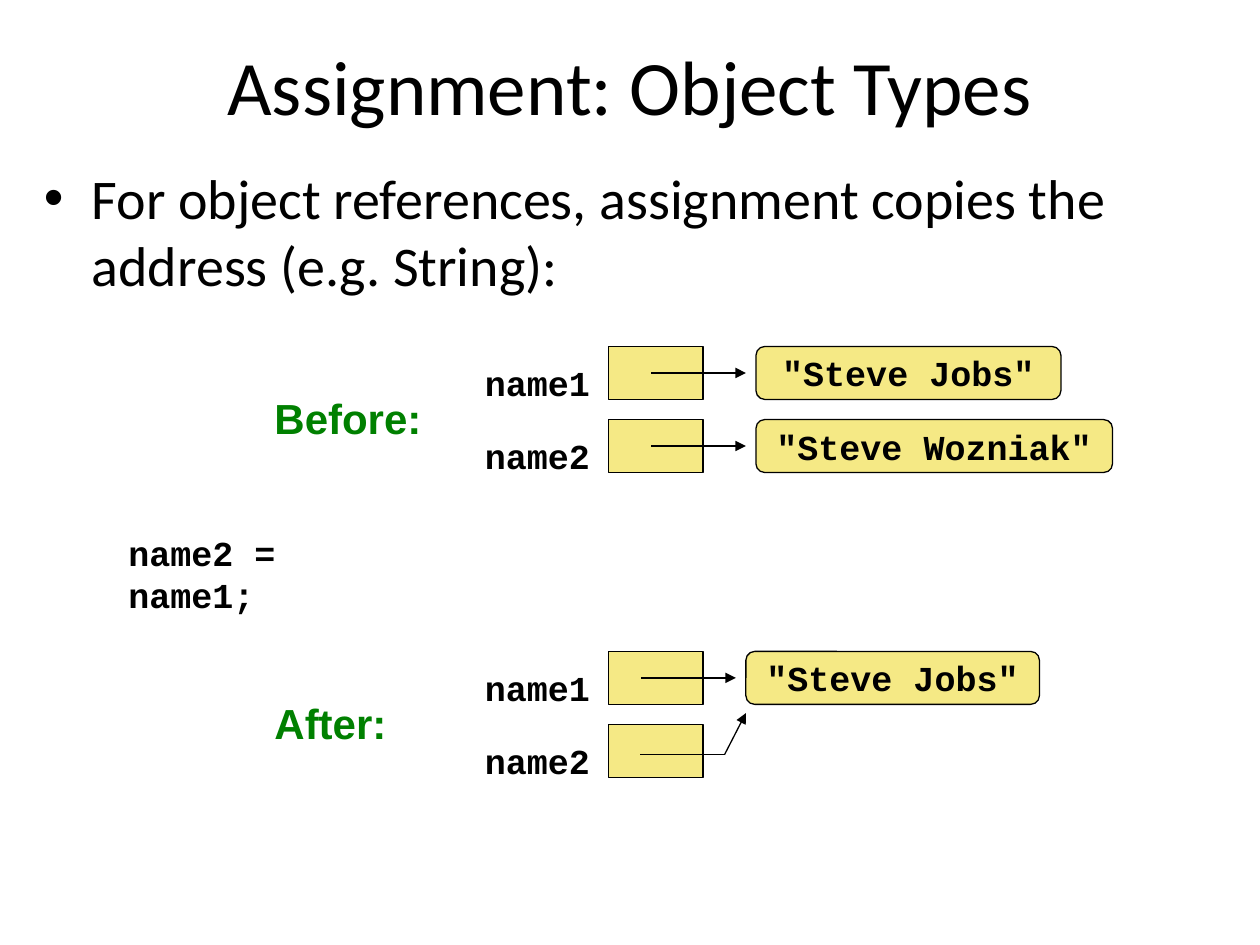
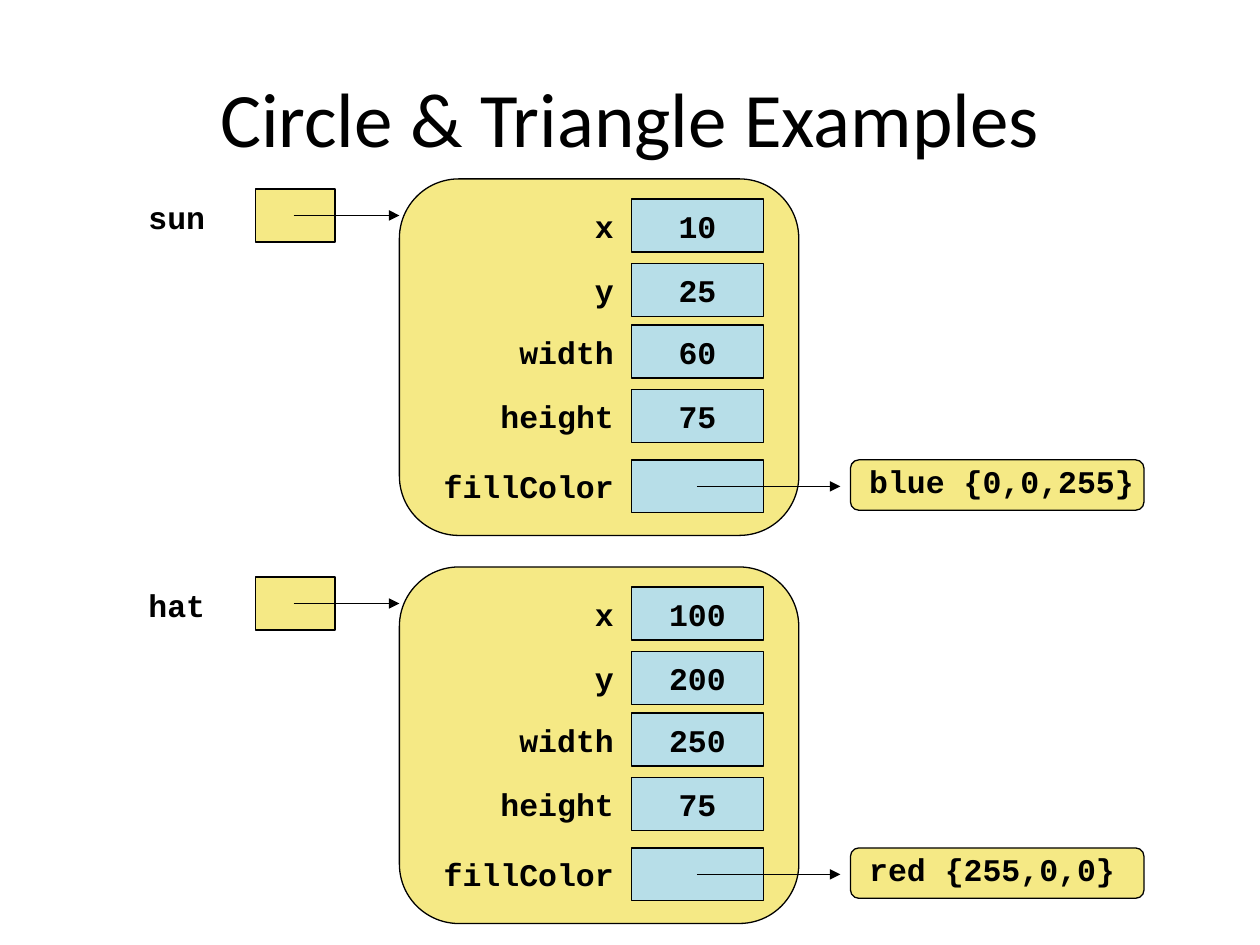
from dataclasses import dataclass

from lxml import etree
from pptx import Presentation
from pptx.dml.color import RGBColor
from pptx.enum.shapes import MSO_CONNECTOR, MSO_SHAPE
from pptx.enum.text import MSO_ANCHOR, PP_ALIGN
from pptx.oxml.ns import qn
from pptx.util import Inches, Pt

RECT = MSO_SHAPE.RECTANGLE
ROUND = MSO_SHAPE.ROUNDED_RECTANGLE
STRAIGHT = MSO_CONNECTOR.STRAIGHT
LEFT, CENTER, RIGHT = PP_ALIGN.LEFT, PP_ALIGN.CENTER, PP_ALIGN.RIGHT
TOP, MIDDLE = MSO_ANCHOR.TOP, MSO_ANCHOR.MIDDLE


@dataclass(frozen=True)
class Theme:
    ink: str = "000000"
    gold: str = "F5E985"
    sky: str = "B7DEE8"
    green: str = "008000"
    sans: str = "Calibri"
    bold: str = "Arial"
    code: str = "Courier New"
    title: int = 44
    body: int = 32
    tag: int = 24
    large: int = 20
    small: int = 18
    line: float = 0.75


class Deck:
    def __init__(self, theme):
        self.theme = theme
        self.show = Presentation()
        self.show.slide_width = Inches(10)
        self.show.slide_height = Inches(7.5)
        self.slide = None

    def start(self, title, top):
        self.slide = self.show.slides.add_slide(self.show.slide_layouts[6])
        t = self.theme
        self.text(title, (0.5, top, 9, 1.25), t.title, t.sans, align=CENTER, anchor=MIDDLE)

    def label(self, shape, words, size, font, color, bold, align, anchor):
        frame = shape.text_frame
        frame.text = words
        frame.vertical_anchor = anchor
        para = frame.paragraphs[0]
        para.alignment = align
        style = para.runs[0].font
        style.name, style.size, style.bold = font, Pt(size), bold
        style.color.rgb = RGBColor.from_string(color)
        return para

    def text(self, words, box, size, font, color=None, bold=False, align=LEFT, anchor=TOP):
        shape = self.slide.shapes.add_textbox(*map(Inches, box))
        shape.text_frame.word_wrap = True
        return self.label(shape, words, size, font, color or self.theme.ink, bold, align, anchor)

    def code(self, words, box, size, align=LEFT):
        self.text(words, box, size, self.theme.code, bold=True, align=align)

    def bullet(self, words, box):
        para = self.text(words, box, self.theme.body, self.theme.sans)
        props = para._p.get_or_add_pPr()
        props.set("marL", str(Inches(0.38)))
        props.set("indent", str(-Inches(0.38)))
        font = etree.SubElement(props, qn("a:buFont"))
        font.set("typeface", "Arial")
        etree.SubElement(props, qn("a:buChar")).set("char", "•")

    def box(self, box, kind=RECT, fill=None, words="", size=None):
        t = self.theme
        shape = self.slide.shapes.add_shape(kind, *map(Inches, box))
        shape.shadow.inherit = False
        shape.fill.solid()
        shape.fill.fore_color.rgb = RGBColor.from_string(fill or t.gold)
        shape.line.color.rgb = RGBColor.from_string(t.ink)
        shape.line.width = Pt(t.line)
        if words:
            shape.text_frame.word_wrap = False
            self.label(shape, words, size, t.code, t.ink, True, CENTER, MIDDLE)

    def link(self, start, end, head=True):
        line = self.slide.shapes.add_connector(STRAIGHT, *map(Inches, (*start, *end)))
        line.line.color.rgb = RGBColor.from_string(self.theme.ink)
        line.line.width = Pt(self.theme.line)
        props = line._element.spPr
        if head:
            tip = etree.SubElement(props.find(qn("a:ln")), qn("a:tailEnd"))
            tip.set("type", "triangle")
        etree.SubElement(props, qn("a:effectLst"))


def state(deck, tag, top):
    t = deck.theme
    deck.text(tag, (2.08, top + 0.32, 1.6, 0.5), t.tag, t.bold, t.green, True)
    for row, name in enumerate(("name1", "name2")):
        y = top + 0.58 * row
        deck.box((4.83, y, 0.75, 0.42))
        deck.code(name, (3.75, y + 0.07, 1.08, 0.43), t.large)


def target(deck, words, left, top, width):
    deck.box((left, top, width, 0.42), ROUND, words=words, size=deck.theme.large)
    y = top + 0.21
    deck.link((left - 0.83, y), (left - 0.08, y))


def types(deck):
    deck.start("Assignment: Object Types", 0.05)
    deck.bullet("For object references, assignment copies the address (e.g. String):",
                (0.25, 1.25, 9.33, 1.25))
    deck.code("name2 = name1;", (0.92, 4.17, 2.5, 0.75), deck.theme.large)
    state(deck, "Before:", 2.75)
    target(deck, '"Steve Jobs"', 6, 2.75, 2.42)
    target(deck, '"Steve Wozniak"', 6, 3.33, 2.83)
    state(deck, "After:", 5.17)
    target(deck, '"Steve Jobs"', 5.92, 5.17, 2.33)
    bend = (5.75, 5.99)
    deck.link(bend, (5.92, 5.66))
    deck.link(bend, (5.08, 5.99), head=False)


FIELDS = (("x", 0.16), ("y", 0.67), ("width", 1.16), ("height", 1.67), ("fillColor", 2.23))


def record(deck, name, top, values, color):
    t = deck.theme
    deck.box((2.03, top + 0.08, 0.63, 0.42))
    deck.code(name, (1.08, top + 0.1, 0.9, 0.4), t.small)
    deck.box((3.17, top, 3.17, 2.83), ROUND)
    deck.link((2.33, top + 0.29), (3.17, top + 0.29))
    for (field, gap), value in zip(FIELDS, (*values, "")):
        y = top + gap
        deck.box((5.01, y, 1.05, 0.42), fill=t.sky, words=value, size=t.small)
        deck.code(field, (3.2, y + 0.01, 1.77, 0.4), t.small, RIGHT)
    deck.box((6.75, y, 2.33, 0.4), ROUND)
    deck.link((5.53, y + 0.21), (6.67, y + 0.21))
    deck.code(color, (6.8, y - 0.03, 2.54, 0.4), t.small)


def shapes(deck):
    deck.start("Circle & Triangle Examples", 0.3)
    record(deck, "hat", 4.5, ("100", "200", "250", "75"), "red {255,0,0}")
    record(deck, "sun", 1.42, ("10", "25", "60", "75"), "blue {0,0,255}")


def main():
    deck = Deck(Theme())
    types(deck)
    shapes(deck)
    deck.show.save("out.pptx")


if __name__ == "__main__":
    main()
